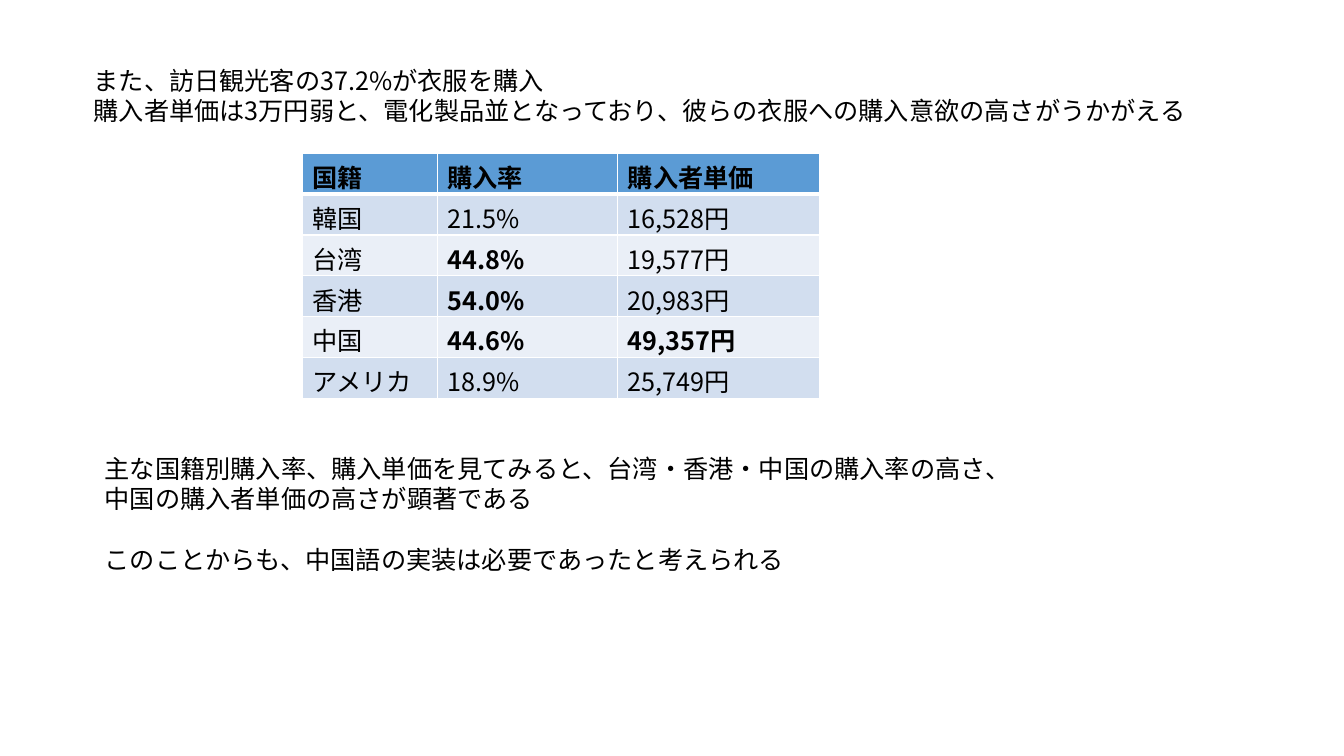
"""Build a slide on clothing purchases by visitors to Japan, by nationality."""
import pptx
import pptx.dml.color
import pptx.enum.text
import pptx.oxml.ns
import pptx.util
from lxml import etree
from pptx.util import Cm, Pt

FONT = "Noto Sans CJK JP"
COLORS = {
    "text": "000000",
    "header": "5B9BD5",
    "odd_row": "D2DEEF",
    "even_row": "EAEFF7",
    "border": "FFFFFF",
}
HEADINGS = ["国籍", "購入率", "購入者単価"]
PURCHASES = [
    ["韓国", "21.5%", "16,528円"],
    ["台湾", "44.8%", "19,577円"],
    ["香港", "54.0%", "20,983円"],
    ["中国", "44.6%", "49,357円"],
    ["アメリカ", "18.9%", "25,749円"],
]
HIGHLIGHTS = {"44.8%", "54.0%", "44.6%", "49,357円"}
COLUMN_WIDTHS = [3.4, 4.55, 5.08]
ROW_HEIGHT = 1.03


def rgb(name):
    return pptx.dml.color.RGBColor.from_string(COLORS[name])


def add_run(paragraph, text, bold=False):
    run = paragraph.add_run()
    run.text = text
    run.font.size = Pt(18)
    run.font.bold = bold
    run.font.name = FONT
    run.font.color.rgb = rgb("text")
    east_asian = etree.SubElement(run.font._element, pptx.oxml.ns.qn("a:ea"))
    east_asian.set("typeface", FONT)


def add_statement(slide, left, top, width, height, lines):
    statement = slide.shapes.add_textbox(Cm(left), Cm(top), Cm(width), Cm(height))
    frame = statement.text_frame
    frame.word_wrap = True
    frame.auto_size = pptx.enum.text.MSO_AUTO_SIZE.SHAPE_TO_FIT_TEXT
    for index, (text, gap) in enumerate(lines):
        paragraph = frame.add_paragraph() if index else frame.paragraphs[0]
        paragraph.space_before = Pt(gap)
        add_run(paragraph, text)


def add_border(cell, side, points):
    qn = pptx.oxml.ns.qn
    properties = cell._tc.get_or_add_tcPr()
    line = etree.SubElement(properties, qn(f"a:ln{side}"), w=str(Pt(points)))
    fill = etree.SubElement(line, qn("a:solidFill"))
    etree.SubElement(fill, qn("a:srgbClr"), val=COLORS["border"])


def fill_cell(cell, text, row):
    add_run(cell.text_frame.paragraphs[0], text, row == 0 or text in HIGHLIGHTS)
    borders = {"L": 1, "R": 1, "T": 3 if row == 1 else 1, "B": 3 if row == 0 else 1}
    for side, points in borders.items():
        add_border(cell, side, points)
    band = "header" if row == 0 else "odd_row" if row % 2 else "even_row"
    cell.fill.solid()
    cell.fill.fore_color.rgb = rgb(band)


def add_purchase_table(slide, left, top):
    rows = [HEADINGS] + PURCHASES
    table = slide.shapes.add_table(
        len(rows), len(HEADINGS), Cm(left), Cm(top),
        Cm(sum(COLUMN_WIDTHS)), Cm(ROW_HEIGHT * len(rows)),
    ).table
    for column, width in zip(table.columns, COLUMN_WIDTHS):
        column.width = Cm(width)
    for row, values in enumerate(rows):
        table.rows[row].height = Cm(ROW_HEIGHT)
        for column, text in enumerate(values):
            fill_cell(table.cell(row, column), text, row)


def main():
    presentation = pptx.Presentation()
    presentation.slide_width = Cm(33.87)
    presentation.slide_height = Cm(19.05)
    slide = presentation.slides.add_slide(presentation.slide_layouts[6])
    add_statement(slide, 2.11, 1.52, 28.63, 4.11, [
        ("また、訪日観光客の37.2%が衣服を購入", 0),
        ("購入者単価は3万円弱と、電化製品並となっており、彼らの衣服への購入意欲の高さがうかがえる", 0),
    ])
    add_purchase_table(slide, 7.62, 3.86)
    add_statement(slide, 2.39, 11.3, 25.48, 3.33, [
        ("主な国籍別購入率、購入単価を見てみると、台湾・香港・中国の購入率の高さ、", 0),
        ("中国の購入者単価の高さが顕著である", 0),
        ("このことからも、中国語の実装は必要であったと考えられる", 21.6),
    ])
    presentation.save("out.pptx")


if __name__ == "__main__":
    main()
